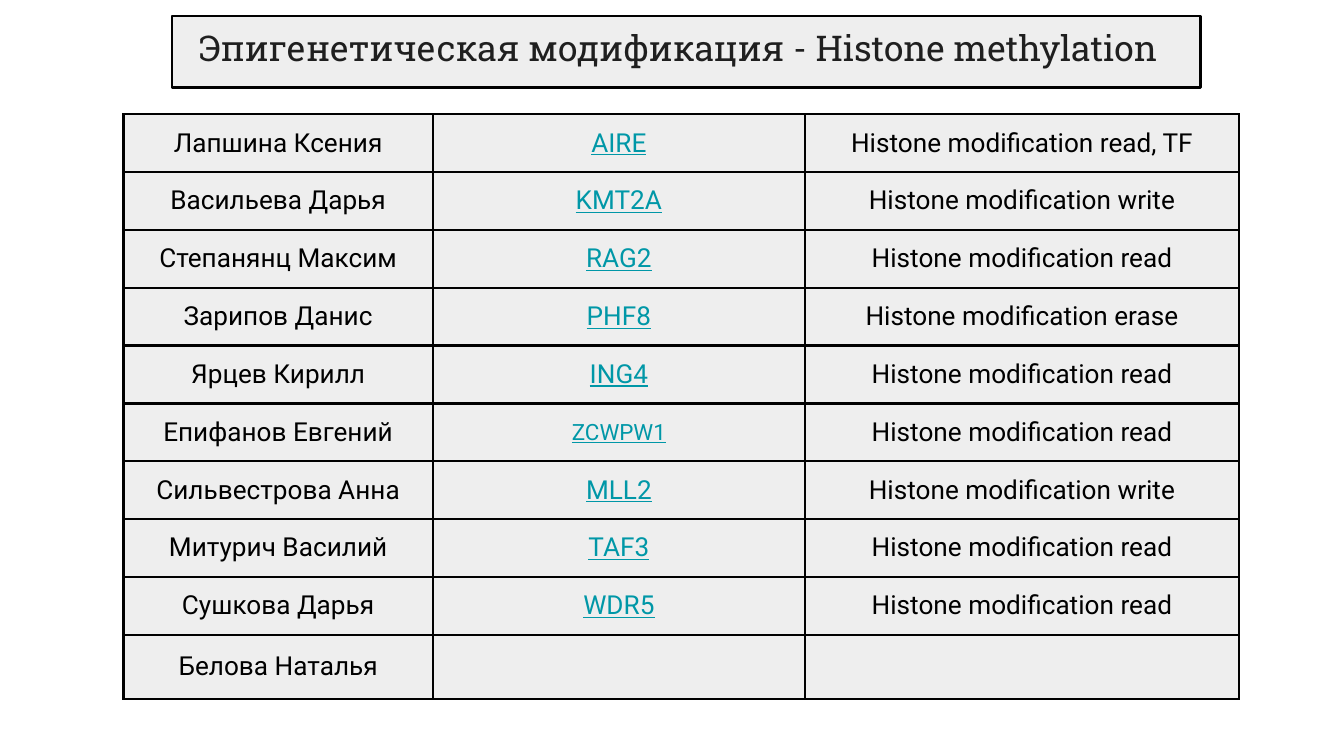
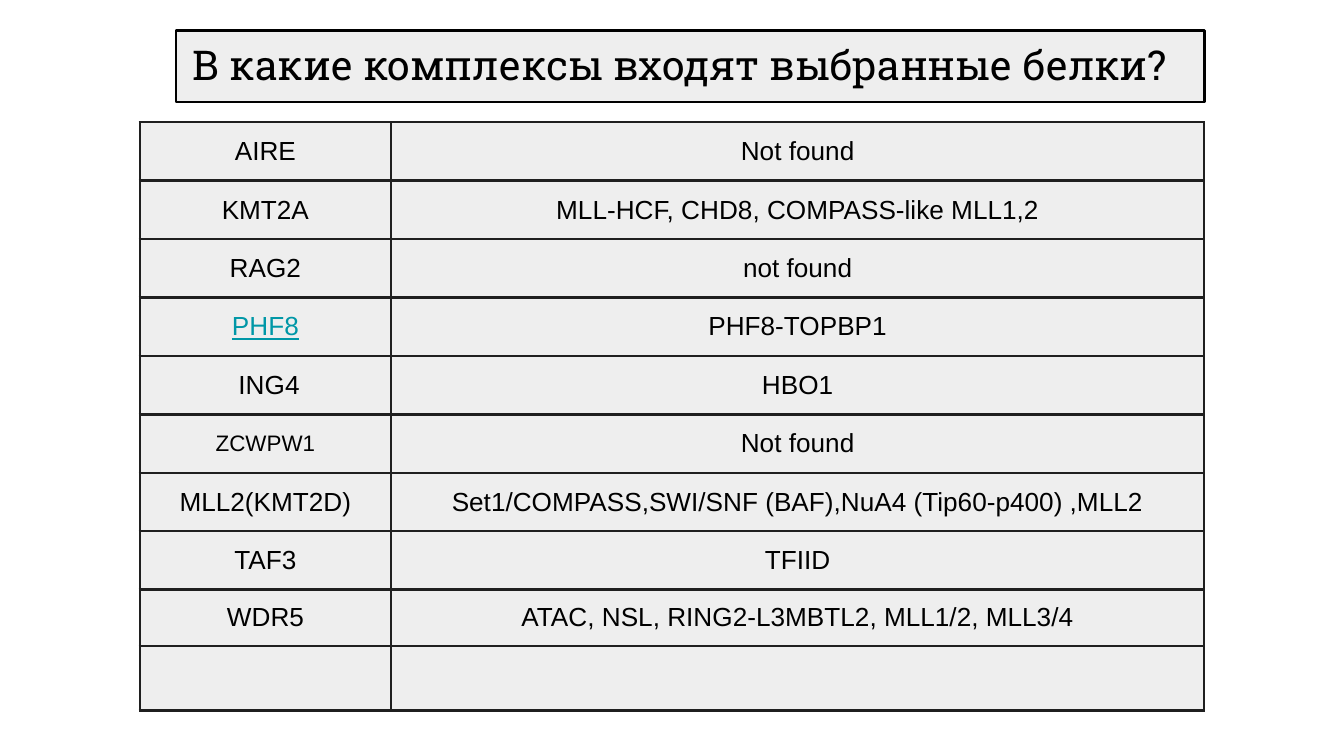
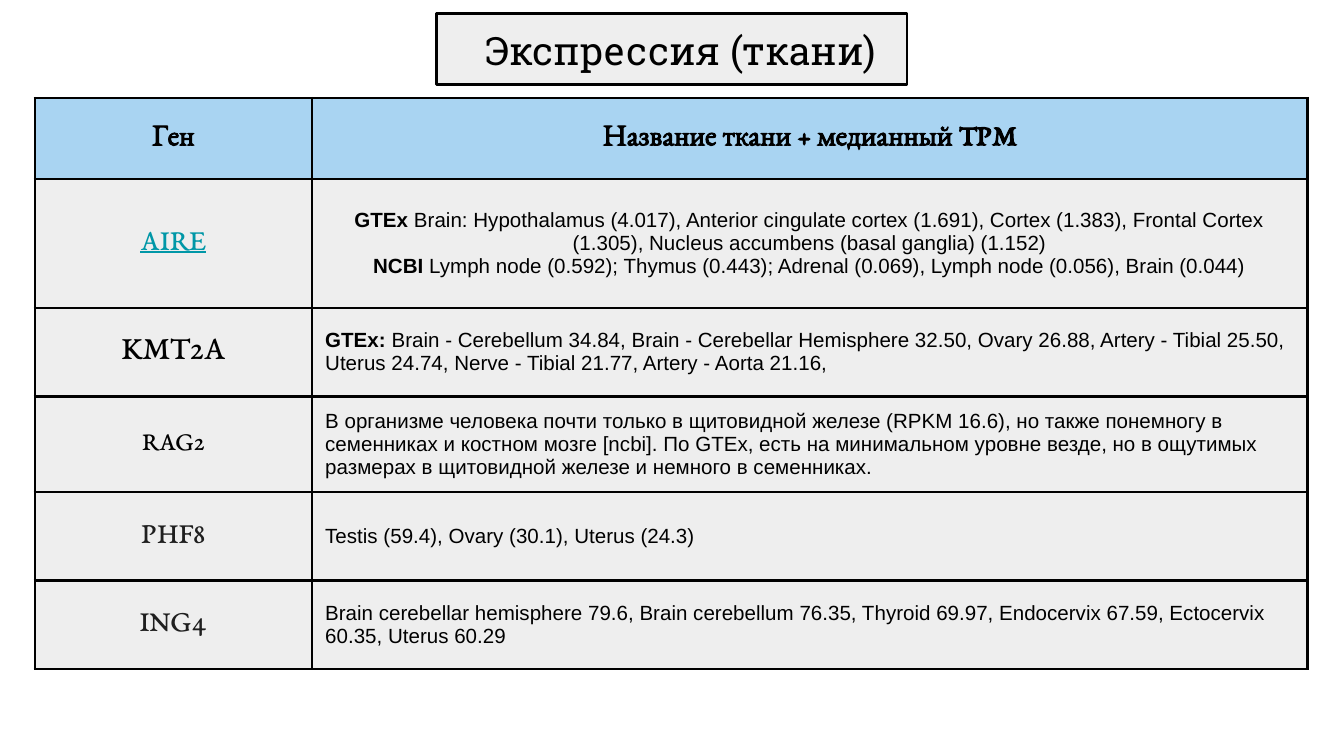
from lxml import etree
from pptx import Presentation
from pptx.dml.color import RGBColor
from pptx.enum import shapes, text
from pptx.oxml import ns
from pptx.util import Inches, Pt

COLORS = {
    "black": "000000",
    "ink": "1F1F1F",
    "panel": "EEEEEE",
    "header": "A9D4F2",
    "link": "0097A7",
}
TITLE_FONT = "Roboto Slab"
PADDING = Inches(0.1)
LINE_WIDTH = Pt(1.5)
CENTER, LEFT = text.PP_ALIGN.CENTER, text.PP_ALIGN.LEFT

LINK = {"color": "link", "underline": True}
BODY = {"font": "Arial", "size": 14}
DETAIL = {"font": "Arial", "size": 11}
GENE = {"font": "EB Garamond", "size": 16}
HEADER = {**GENE, "bold": True}

PEOPLE = [
    ("Лапшина Ксения", "AIRE", "read, TF"),
    ("Васильева Дарья", "KMT2A", "write"),
    ("Степанянц Максим", "RAG2", "read"),
    ("Зарипов Данис", "PHF8", "erase"),
    ("Ярцев Кирилл", "ING4", "read"),
    ("Епифанов Евгений", "ZCWPW1", "read"),
    ("Сильвестрова Анна", "MLL2", "write"),
    ("Митурич Василий", "TAF3", "read"),
    ("Сушкова Дарья", "WDR5", "read"),
]
COMPLEXES = [
    ("AIRE", "Not found"),
    ("KMT2A", "MLL-HCF, CHD8, COMPASS-like MLL1,2"),
    ("RAG2", "not found"),
    ("PHF8", "PHF8-TOPBP1"),
    (" ING4", "HBO1"),
    ("ZCWPW1", "Not found"),
    ("MLL2(KMT2D)", "Set1/COMPASS,SWI/SNF (BAF),NuA4 (Tip60-p400) ,MLL2"),
    ("TAF3", "TFIID"),
    ("WDR5", "ATAC, NSL, RING2-L3MBTL2, MLL1/2, MLL3/4"),
    ("", ""),
]
# Gene, style changes of the gene, alignment of the details, and the details
# as paragraphs of (bold source, plain text).
EXPRESSION = [
    ("AIRE", LINK, CENTER, [
        ("GTEx ", "Brain: Hypothalamus (4.017), Anterior cingulate cortex (1.691), "
                  "Cortex (1.383), Frontal Cortex (1.305), "
                  "Nucleus accumbens (basal ganglia) (1.152)"),
        ("NCBI ", "Lymph node (0.592); Thymus (0.443); Adrenal (0.069), "
                  "Lymph node (0.056), Brain (0.044)"),
    ]),
    ("KMT2A", {"size": 18}, LEFT, [
        ("GTEx: ", "Brain - Cerebellum 34.84, Brain - Cerebellar Hemisphere 32.50, "
                   "Ovary 26.88, Artery - Tibial 25.50, Uterus 24.74, "
                   "Nerve - Tibial 21.77, Artery - Aorta 21.16,"),
    ]),
    ("RAG2", {"size": 14}, LEFT, [
        ("", "В организме человека почти только в щитовидной железе (RPKM 16.6), "
             "но также понемногу в семенниках и костном мозге [ncbi]. По GTEx, есть "
             "на минимальном уровне везде, но в ощутимых размерах в щитовидной "
             "железе и немного в семенниках."),
    ]),
    ("PHF8", {"color": "ink"}, LEFT, [
        ("", "Testis (59.4), Ovary (30.1), Uterus (24.3)"),
    ]),
    ("ING4", {"color": "ink"}, LEFT, [
        ("", "Brain cerebellar hemisphere 79.6, Brain cerebellum 76.35, "
             "Thyroid 69.97, Endocervix 67.59, Ectocervix 60.35, Uterus 60.29"),
    ]),
]


def rgb(name):
    return RGBColor.from_string(COLORS[name])


def add_run(paragraph, words, font, size, color="black", bold=False, underline=False):
    run = paragraph.add_run()
    run.text = words
    run.font.name = font
    run.font.size = Pt(size)
    run.font.color.rgb = rgb(color)
    run.font.bold = bold
    run.font.underline = underline


def add_title(slide, words, panel_box, text_box, size, color="black", align=LEFT):
    """Put the slide title in front of a framed panel."""
    panel = slide.shapes.add_shape(
        shapes.MSO_SHAPE.RECTANGLE, *map(Inches, panel_box))
    panel.shadow.inherit = False
    panel.fill.solid()
    panel.fill.fore_color.rgb = rgb("panel")
    panel.line.color.rgb = rgb("black")
    panel.line.width = LINE_WIDTH

    title = slide.shapes.title
    title.left, title.top, title.width, title.height = map(Inches, text_box)
    slide.shapes._spTree.append(title._element)
    frame = title.text_frame
    frame.word_wrap = True
    frame.auto_size = text.MSO_AUTO_SIZE.NONE
    frame.vertical_anchor = text.MSO_ANCHOR.TOP
    frame.margin_left = frame.margin_right = PADDING
    frame.margin_top = frame.margin_bottom = PADDING
    paragraph = frame.paragraphs[0]
    paragraph.alignment = align
    add_run(paragraph, words, TITLE_FONT, size, color)


def set_borders(cell, color):
    properties = cell._tc.get_or_add_tcPr()
    for position, side in enumerate(("lnL", "lnR", "lnT", "lnB")):
        line = etree.Element(ns.qn(f"a:{side}"), w=str(LINE_WIDTH))
        fill = etree.SubElement(line, ns.qn("a:solidFill"))
        etree.SubElement(fill, ns.qn("a:srgbClr"), val=COLORS[color])
        properties.insert(position, line)


def set_empty_font(paragraph, font, size):
    """Fix the line height of a paragraph that has no runs."""
    end = etree.SubElement(paragraph._p, ns.qn("a:endParaRPr"), sz=str(size * 100))
    etree.SubElement(end, ns.qn("a:latin"), typeface=font)


def fill_cell(cell, paragraphs, align=CENTER, fill="panel", border="black"):
    """Write paragraphs, each a list of (words, style) runs, into a cell."""
    cell.fill.solid()
    cell.fill.fore_color.rgb = rgb(fill)
    set_borders(cell, border)
    cell.vertical_anchor = text.MSO_ANCHOR.MIDDLE
    cell.margin_left = cell.margin_right = PADDING
    cell.margin_top = cell.margin_bottom = PADDING
    frame = cell.text_frame
    for index, runs in enumerate(paragraphs):
        paragraph = frame.add_paragraph() if index else frame.paragraphs[0]
        paragraph.alignment = align
        runs = [run for run in runs if run[0]]
        for words, style in runs:
            add_run(paragraph, words, **style)
        if not runs:
            set_empty_font(paragraph, "Arial", 18)


def add_table(slide, left, top, widths, heights):
    frame = slide.shapes.add_table(
        len(heights), len(widths), Inches(left), Inches(top),
        Inches(sum(widths)), Inches(sum(heights)))
    table = frame.table
    table.first_row = table.horz_banding = False
    for column, width in zip(table.columns, widths):
        column.width = Inches(width)
    for row, height in zip(table.rows, heights):
        row.height = Inches(height)
    return table


def gene_size(gene):
    return 12 if gene == "ZCWPW1" else 14


def build_people(slide):
    table = add_table(slide, 0.92, 0.85, [2.3, 2.77, 3.23], [0.42] * 10)
    style = {**BODY, "font": "Roboto"}
    rows = [(person, gene, f"Histone modification {role}")
            for person, gene, role in PEOPLE]
    rows.append(("Белова Наталья", "", ""))
    for row, (person, gene, role) in enumerate(rows):
        gene_style = {**style, **LINK, "size": gene_size(gene)}
        for column, run in enumerate(
                [(person, style), (gene, gene_style), (role, style)]):
            fill_cell(table.cell(row, column), [[run]])
    add_title(slide, "Эпигенетическая модификация - Histone methylation",
              (1.28, 0.12, 7.65, 0.53), (1.38, 0.09, 7.49, 0.52), 19, "ink")


def build_complexes(slide):
    table = add_table(slide, 1.04, 0.91, [1.87, 6.05],
                      [3.48 / 8] * 8 + [0.42, 0.44])
    for row, (gene, complexes) in enumerate(COMPLEXES):
        gene_style = {**BODY, "size": gene_size(gene)}
        if gene == "PHF8":
            gene_style.update(LINK)
        fill_cell(table.cell(row, 0), [[(gene, gene_style)]], border="ink")
        fill_cell(table.cell(row, 1), [[(complexes, BODY)]], border="ink")
    add_title(slide, "В какие комплексы входят выбранные белки?",
              (1.31, 0.23, 7.65, 0.53), (0.91, 0.19, 8.3, 0.57), 22, align=CENTER)


def build_expression(slide):
    add_title(slide, "Экспрессия (ткани)",
              (3.25, 0.1, 3.5, 0.53), (3.51, 0.1, 3.25, 0.63), 20.9)
    table = add_table(slide, 0.26, 0.73, [2.06, 7.41], [0.6, 0.96] + [0.66] * 4)
    for column, heading in enumerate(["Ген", "Название ткани + медианный TPM"]):
        fill_cell(table.cell(0, column), [[(heading, HEADER)]], fill="header")
    for row, (gene, changes, align, details) in enumerate(EXPRESSION, start=1):
        fill_cell(table.cell(row, 0), [[(gene, {**GENE, **changes})]])
        paragraphs = [[(source, {**DETAIL, "bold": True}), (tissues, DETAIL)]
                      for source, tissues in details]
        fill_cell(table.cell(row, 1), paragraphs, align)


def main():
    presentation = Presentation()
    presentation.slide_width = Inches(10)
    presentation.slide_height = Inches(10) * 9 // 16
    title_only = presentation.slide_layouts[5]
    for build in (build_people, build_complexes, build_expression):
        build(presentation.slides.add_slide(title_only))
    presentation.save("out.pptx")


if __name__ == "__main__":
    main()
